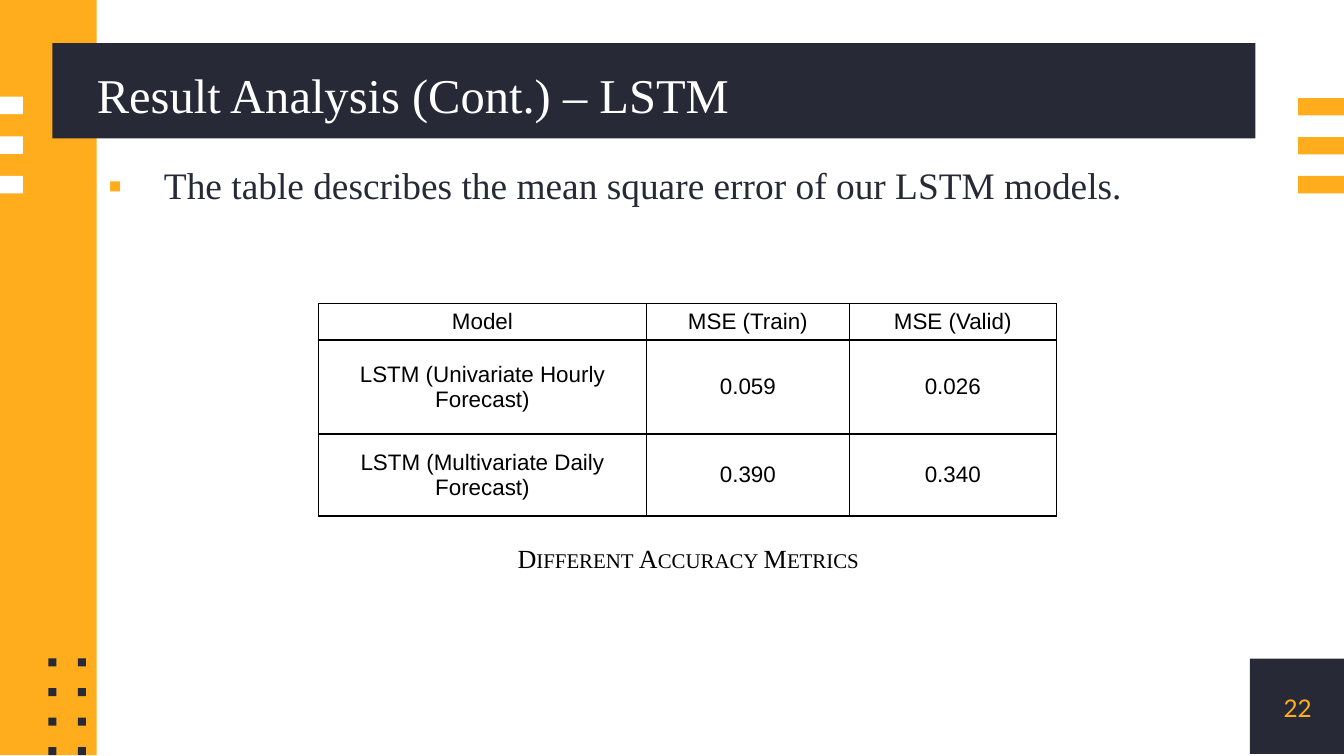
import pptx
import pptx.util
import pptx.dml.color
import pptx.enum.shapes
import pptx.enum.text
import pptx.oxml
import pptx.oxml.ns
from pptx.util import Inches

NAVY = pptx.dml.color.RGBColor(0x27, 0x2A, 0x36)
ORANGE = pptx.dml.color.RGBColor(0xFF, 0xAD, 0x1D)
WHITE = pptx.dml.color.RGBColor(0xFF, 0xFF, 0xFF)
BLACK = pptx.dml.color.RGBColor(0, 0, 0)
LEFT = pptx.enum.text.PP_ALIGN.LEFT
CENTER = pptx.enum.text.PP_ALIGN.CENTER
TOP = pptx.enum.text.MSO_ANCHOR.TOP
MIDDLE = pptx.enum.text.MSO_ANCHOR.MIDDLE
SERIF = "Times New Roman"
NAMESPACE = pptx.oxml.ns.nsdecls("a")


def add_block(left, top, width, height, color):
    block = page.shapes.add_shape(pptx.enum.shapes.MSO_SHAPE.RECTANGLE,
                                  Inches(left), Inches(top), Inches(width), Inches(height))
    block.shadow.inherit = False
    block.fill.solid()
    block.fill.fore_color.rgb = color
    block.line.fill.background()


def write(frame, text, size, font, color, align=LEFT, anchor=MIDDLE, margins=(0, 0),
          spacing=1.0, before=0, after=0):
    frame.word_wrap = True
    frame.auto_size = pptx.enum.text.MSO_AUTO_SIZE.NONE
    frame.vertical_anchor = anchor
    frame.margin_left = frame.margin_right = Inches(margins[0])
    frame.margin_top = frame.margin_bottom = Inches(margins[1])
    para = frame.paragraphs[0]
    para.alignment = align
    para.line_spacing = spacing
    para.space_before = pptx.util.Pt(before)
    para.space_after = pptx.util.Pt(after)
    span = para.add_run()
    span.text = text
    span.font.size = pptx.util.Pt(size)
    span.font.name = font
    span.font.color.rgb = color
    return para


# Widescreen page, 16 by 9
deck = pptx.Presentation()
deck.slide_width = Inches(10)
deck.slide_height = Inches(10) * 9 // 16
page = deck.slides.add_slide(deck.slide_layouts[5])

# Corner, side band and title bar
add_block(9.3, 4.9, 0.71, 0.71, NAVY)
add_block(0, -0.01, 0.72, 5.63, ORANGE)
add_block(0.39, 0.32, 8.95, 0.71, NAVY)

# Stripes on both edges and the grid of dots
for row in range(3):
    add_block(0, 0.72 + 0.295 * row, 0.17, 0.13, WHITE)
    add_block(9.66, 0.73 + 0.29 * row, 0.34, 0.13, ORANGE)
for row in range(4):
    for column in range(2):
        add_block(0.36 + 0.22 * column, 4.9 + 0.22 * row, 0.06, 0.06, NAVY)

# Title, brought in front of its bar
title = page.shapes.title
title.left, title.top, title.width, title.height = (
    Inches(0.72), Inches(0.43), Inches(8.58), Inches(0.59))
write(title.text_frame, "Result Analysis (Cont.) – LSTM", 26, SERIF, WHITE, spacing=0.9)
title.element.getparent().append(title.element)

# Bulleted statement
statement_box = page.shapes.add_textbox(Inches(0.72), Inches(1.16), Inches(8.61), Inches(0.65))
para = write(statement_box.text_frame,
             "The table describes the mean square error of our LSTM models.",
             20, SERIF, NAVY, anchor=TOP, spacing=1.15, before=6)
properties = para._p.get_or_add_pPr()
properties.set("marL", str(Inches(0.5)))
properties.set("indent", str(Inches(-0.42)))
for bullet in (f'<a:buClr {NAMESPACE}><a:srgbClr val="{ORANGE}"/></a:buClr>',
               f'<a:buFont {NAMESPACE} typeface="Lato"/>',
               f'<a:buChar {NAMESPACE} char="▪"/>'):
    properties.append(pptx.oxml.parse_xml(bullet))

# Page number
number_box = page.shapes.add_textbox(Inches(9.3), Inches(4.91), Inches(0.71), Inches(0.71))
write(number_box.text_frame, "22", 13, "Lato", ORANGE, align=CENTER)

# Table of errors
rows = [
    ("Model", "MSE (Train)", "MSE (Valid)"),
    ("LSTM (Univariate Hourly Forecast)", "0.059", "0.026"),
    ("LSTM (Multivariate Daily Forecast)", "0.390", "0.340"),
]
table = page.shapes.add_table(3, 3, Inches(2.37), Inches(2.26),
                              Inches(5.49), Inches(1.58)).table
table.first_row = table.horz_banding = False
for column, width in zip(table.columns, (2.44, 1.51, 1.54)):
    column.width = Inches(width)
for row, height, texts in zip(table.rows, (0.27, 0.7, 0.61), rows):
    row.height = Inches(height)
    for cell, text in zip(row.cells, texts):
        cell.margin_left = cell.margin_right = Inches(0.07)
        cell.margin_top = cell.margin_bottom = 0
        cell.vertical_anchor = MIDDLE
        para = cell.text_frame.paragraphs[0]
        para.alignment = CENTER
        span = para.add_run()
        span.text = text
        span.font.size = pptx.util.Pt(12)
        span.font.name = "Arial"
        span.font.color.rgb = BLACK
        for side in ("lnL", "lnR", "lnT", "lnB"):
            cell._tc.get_or_add_tcPr().append(pptx.oxml.parse_xml(
                f'<a:{side} {NAMESPACE} w="{pptx.util.Pt(0.75)}"><a:solidFill>'
                f'<a:srgbClr val="{BLACK}"/></a:solidFill></a:{side}>'))
        cell.fill.background()

# Caption in small capitals
caption_box = page.shapes.add_textbox(Inches(3.63), Inches(4.01), Inches(2.98), Inches(0.31))
para = write(caption_box.text_frame, "Different Accuracy Metrics", 14, SERIF, BLACK,
             align=CENTER, anchor=TOP, margins=(0.1, 0.05), spacing=0.9, before=12, after=6)
para.runs[0].font._element.set("cap", "small")

deck.save("out.pptx")
